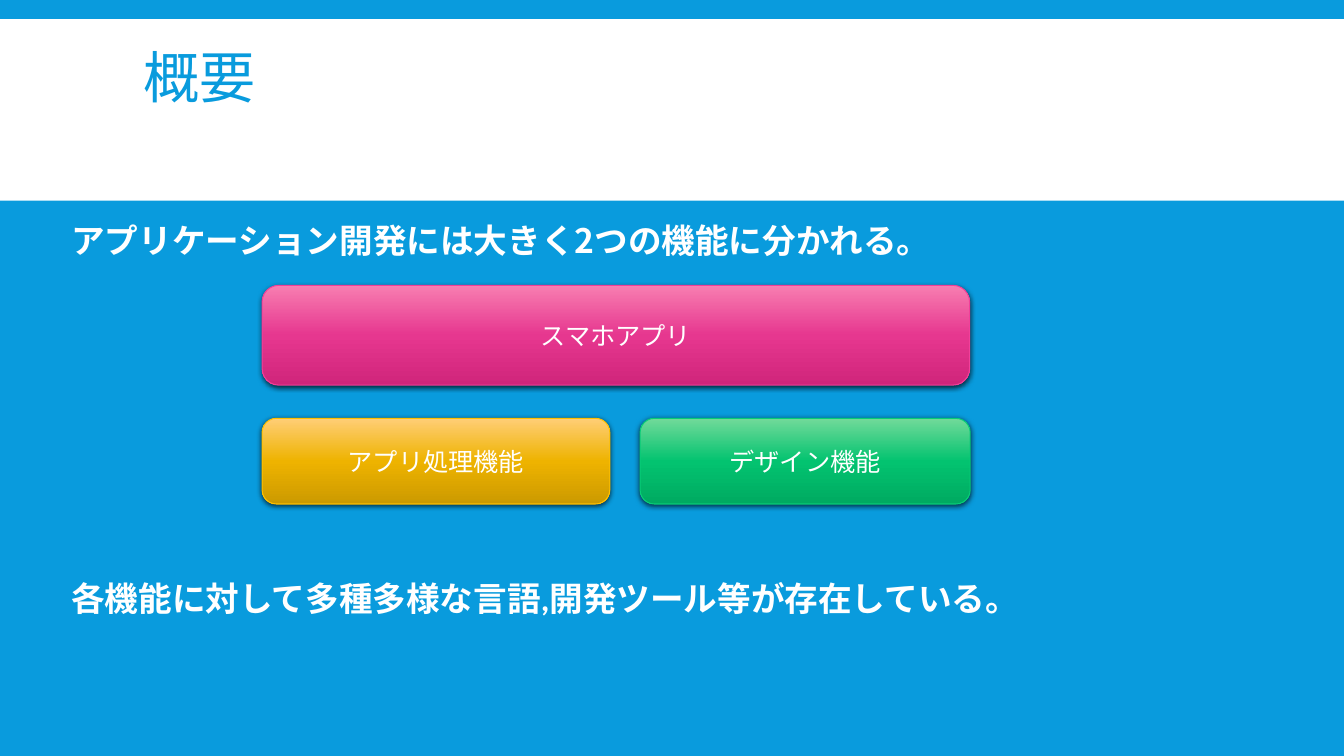
"""Build the overview slide on the two functions of app development."""
from lxml import etree
from pptx import Presentation
from pptx import util as u
from pptx.dml.color import RGBColor
from pptx.enum import lang, shapes, text
from pptx.oxml import parse_xml
from pptx.oxml.ns import nsdecls, qn

TITLE = "概要"
STATEMENTS = [
    (153.4, 660.2, ["アプリケーション開発には大きく", "2", "つの機能に分かれる。"]),
    (409, 728.6, ["各機能に対して多種多様な言語,開発ツール等が存在している。"]),
]
BLOCKS = [
    ("スマホアプリ", "pink", (187.2, 203.8, 505.4, 71.3)),
    ("アプリ処理機能", "amber", (187.2, 298.8, 248.4, 61.2)),
    ("デザイン機能", "green", (457.2, 298.8, 235.8, 61.2)),
]
THEME = {
    "blue": "099BDD", "white": "FFFFFF",
    "latin": "Calibri", "japanese": "Noto Sans CJK JP",
    "title": 40, "statement": 24, "block": 18,
    "pink": ("F24099", ("F87EB1", "E6378F", "D0257B")),
    "amber": ("FFC000", ("FFCE77", "EEB300", "CC9A00")),
    "green": ("08CC78", ("72DA9A", "03C370", "00AA61")),
}
SLIDE_W, SLIDE_H = 960, 540
STATEMENT_X, STATEMENT_H = 43.9, 36


def color(name):
    return RGBColor.from_string(THEME.get(name, name))


def points(*lengths):
    return [u.Pt(n) for n in lengths]


def set_all(target, values):
    for name, value in values.items():
        setattr(target, name, value)


def add_run(p, words, size, ink="white", bold=False, face="latin"):
    r = p.add_run()
    r.text = words
    set_all(r.font, {"size": u.Pt(THEME[size]), "bold": bold, "name": THEME[face],
                     "language_id": lang.MSO_LANGUAGE_ID.JAPANESE})
    r.font.color.rgb = color(ink)
    ea = etree.SubElement(r.font._element, qn("a:ea"))
    ea.set("typeface", THEME["japanese"])


def add_band(s):
    sp = s.shapes.add_shape(shapes.MSO_SHAPE.RECTANGLE, *points(0, 13.7, SLIDE_W, 129.6))
    sp.shadow.inherit = False
    sp.fill.solid()
    sp.fill.fore_color.rgb = color("white")
    sp.line.fill.background()
    return sp


def format_title(s, band):
    sp = s.shapes.title
    band.element.addnext(sp.element)
    set_all(sp, dict(zip(("left", "top", "width", "height"), points(95, 22.3, 770.4, 72))))
    set_all(sp.text_frame, {"vertical_anchor": text.MSO_ANCHOR.MIDDLE, "word_wrap": True})
    p = sp.text_frame.paragraphs[0]
    set_all(p, {"alignment": text.PP_ALIGN.LEFT, "line_spacing": 0.85})
    add_run(p, TITLE, "title", "blue")


def add_statement(s, top, width, parts):
    sp = s.shapes.add_textbox(*points(STATEMENT_X, top, width, STATEMENT_H))
    set_all(sp.text_frame, {"word_wrap": False, "auto_size": text.MSO_AUTO_SIZE.SHAPE_TO_FIT_TEXT})
    for part in parts:
        face = "japanese" if part.isdigit() else "latin"
        add_run(sp.text_frame.paragraphs[0], part, "statement", bold=True, face=face)


def add_block(s, label, tone, box):
    edge, stops = THEME[tone]
    sp = s.shapes.add_shape(shapes.MSO_SHAPE.ROUNDED_RECTANGLE, *points(*box))
    sp.line.color.rgb = color(edge)
    sp.line.width = u.Pt(0.75)
    sp.shadow.inherit = False
    gradient = "".join(f'<a:gs pos="{i * 50000}"><a:srgbClr val="{c}"/></a:gs>'
                       for i, c in enumerate(stops))
    props = sp.element.spPr
    props.find(qn("a:prstGeom")).addnext(parse_xml(
        f'<a:gradFill {nsdecls("a")} rotWithShape="1"><a:gsLst>{gradient}</a:gsLst>'
        '<a:lin ang="5400000" scaled="0"/></a:gradFill>'))
    props.find(qn("a:effectLst")).append(parse_xml(
        f'<a:outerShdw {nsdecls("a")} blurRad="{u.Pt(4)}" dist="{u.Pt(1.2)}" dir="5400000" '
        'algn="ctr" rotWithShape="0"><a:srgbClr val="000000"><a:alpha val="68000"/>'
        '</a:srgbClr></a:outerShdw>'))
    sp.text_frame.vertical_anchor = text.MSO_ANCHOR.MIDDLE
    p = sp.text_frame.paragraphs[0]
    p.alignment = text.PP_ALIGN.CENTER
    add_run(p, label, "block")


def main():
    prs = Presentation()
    set_all(prs, {"slide_width": u.Pt(SLIDE_W), "slide_height": u.Pt(SLIDE_H)})
    s = prs.slides.add_slide(prs.slide_layouts[5])
    s.background.fill.solid()
    s.background.fill.fore_color.rgb = color("blue")
    format_title(s, add_band(s))
    for block in BLOCKS:
        add_block(s, *block)
    for statement in STATEMENTS:
        add_statement(s, *statement)
    prs.save("out.pptx")


if __name__ == "__main__":
    main()
